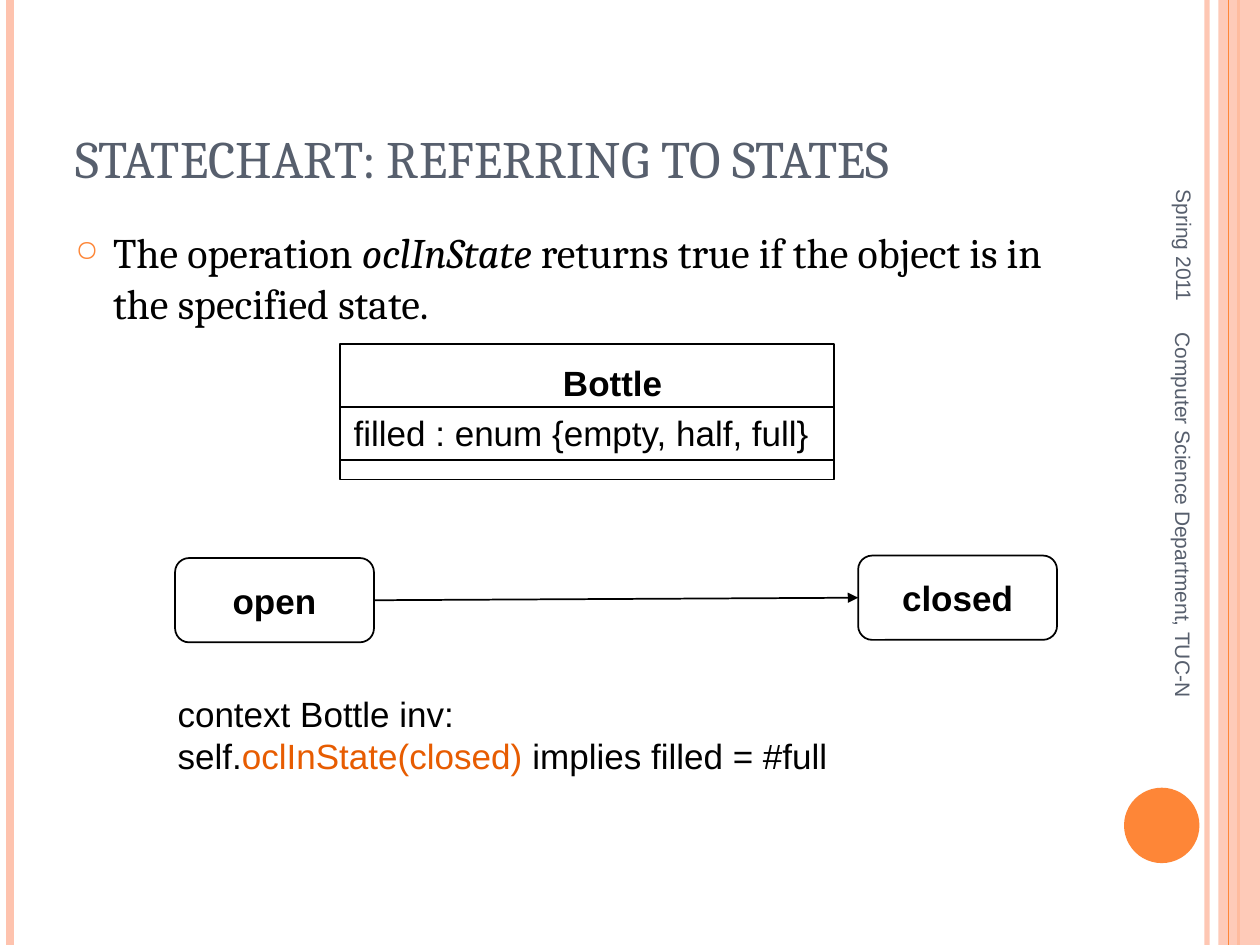
import pptx
import pptx.util
import pptx.dml.color
import pptx.enum.shapes
import pptx.enum.text
import pptx.oxml.ns
import lxml.etree

Cm, Pt = pptx.util.Cm, pptx.util.Pt
SHAPES = pptx.enum.shapes.MSO_SHAPE
ALIGN = pptx.enum.text.PP_ALIGN
ANCHOR = pptx.enum.text.MSO_ANCHOR

WIDTH, HEIGHT = 25.4, 19.05
COLOURS = {
    "peach": "FEC3AE",
    "orange": "FE8637",
    "keyword": "E75C01",
    "slate": "575F6D",
    "black": "000000",
}


def add_element(parent, tag, **attributes):
    return lxml.etree.SubElement(parent, pptx.oxml.ns.qn(tag), attributes)


class SlideBuilder:
    """Holds the style and the current slide; all lengths are centimetres."""

    def __init__(self, slide):
        self.slide = slide
        self.body_font = "Arial"
        self.heading_font = "Cambria"

    def colour(self, name):
        return pptx.dml.color.RGBColor.from_string(COLOURS[name])

    def set_alpha(self, properties, percent):
        """Make the only solid colour below properties partly transparent."""
        colour = properties.find(".//" + pptx.oxml.ns.qn("a:srgbClr"))
        add_element(colour, "a:alpha", val=str(percent * 1000))

    def style_font(self, font, size, colour, name=None, bold=False):
        font.name = name or self.body_font
        font.size = Pt(size)
        font.bold = bold
        font.color.rgb = self.colour(colour)

    def shape(self, kind, left, top, width, height, fill=None, alpha=None, line=None):
        shape = self.slide.shapes.add_shape(
            kind, Cm(left), Cm(top), Cm(width), Cm(height))
        shape.shadow.inherit = False
        if fill:
            shape.fill.solid()
            shape.fill.fore_color.rgb = self.colour(fill)
        else:
            shape.fill.background()
        if alpha:
            self.set_alpha(shape._element.spPr, alpha)
        if line:
            shape.line.color.rgb = self.colour(line)
            shape.line.width = Pt(1)
        else:
            shape.line.fill.background()
        return shape

    def state(self, label, left, top):
        state = self.shape(SHAPES.ROUNDED_RECTANGLE, left, top, 4.01, 1.7, line="black")
        para = state.text_frame.paragraphs[0]
        para.text = label
        para.alignment = ALIGN.CENTER
        self.style_font(para.font, 20, "black", bold=True)
        return state

    def line(self, start=(0, 0), end=(0, 0), colour="black", width=1, alpha=None):
        line = self.slide.shapes.add_connector(
            pptx.enum.shapes.MSO_CONNECTOR.STRAIGHT,
            Cm(start[0]), Cm(start[1]), Cm(end[0]), Cm(end[1]))
        line.line.color.rgb = self.colour(colour)
        line.line.width = Pt(width)
        if alpha:
            self.set_alpha(line._element.spPr, alpha)
        add_element(line._element.spPr, "a:effectLst")
        return line

    def transition(self, source, target):
        """Arrow from the right side of source to the left side of target."""
        arrow = self.line()
        arrow.begin_connect(source, 3)
        arrow.end_connect(target, 1)
        add_element(arrow.line._get_or_add_ln(), "a:tailEnd",
                    type="triangle", w="med", len="med")

    def text(self, left, top, width, height, paragraphs, size=20, colour="black",
             font=None, bold=False, wrap=False, anchor=ANCHOR.TOP,
             align=ALIGN.LEFT, rotation=0):
        """Each paragraph is a list of span texts; returns its paragraphs."""
        box = self.slide.shapes.add_textbox(Cm(left), Cm(top), Cm(width), Cm(height))
        box.rotation = rotation
        frame = box.text_frame
        frame.word_wrap = wrap
        frame.vertical_anchor = anchor
        for index, spans in enumerate(paragraphs):
            para = frame.add_paragraph() if index else frame.paragraphs[0]
            para.alignment = align
            for span in spans:
                para.add_run().text = span
            self.style_font(para.font, size, colour, font, bold)
        return frame.paragraphs

    def bullet_text(self, left, top, width, height, spans):
        para = self.text(left, top, width, height, [[]], wrap=True)[0]
        properties = para._p.get_or_add_pPr()
        for child in list(properties):
            properties.remove(child)
        properties.set("marL", str(Cm(0.76)))
        properties.set("indent", str(-Cm(0.76)))
        bullet_colour = add_element(properties, "a:buClr")
        add_element(bullet_colour, "a:srgbClr", val=COLOURS["orange"])
        add_element(properties, "a:buSzPct", val="70000")
        add_element(properties, "a:buChar", char="○")
        for span in spans:
            para.add_run().text = span
        self.style_font(para.font, 24, "black", self.heading_font)
        return para


def main():
    deck = pptx.Presentation()
    deck.slide_width, deck.slide_height = Cm(WIDTH), Cm(HEIGHT)
    page = SlideBuilder(deck.slides.add_slide(deck.slide_layouts[6]))

    # Side decoration
    def stripe(x, colour, width, alpha=None):
        page.line((x, 0), (x, HEIGHT), colour, width, alpha)

    stripe(24.33, "peach", 3, alpha=93)
    stripe(0.2, "peach", 4.5)
    stripe(24.97, "orange", 1.5)
    page.shape(SHAPES.RECTANGLE, 24.56, 0, 0.84, HEIGHT, fill="peach", alpha=87)
    stripe(24.77, "orange", 0.75)
    page.shape(SHAPES.OVAL, 22.66, 15.88, 1.52, 1.52, fill="orange")

    # Heading and explanation
    page.text(1.27, 0.76, 20.75, 3.18, [["STATECHART: REFERRING TO STATES"]],
              size=30, colour="slate", font=page.heading_font, wrap=True,
              anchor=ANCHOR.BOTTOM)
    explanation = page.bullet_text(
        1.27, 4.45, 20.75, 13.54,
        ["The operation ", "oclInState",
         " returns true if the object is in the specified state."])
    explanation.runs[1].font.italic = True

    # Date and footer along the right edge
    margin_style = dict(size=12, colour="slate", wrap=True,
                        anchor=ANCHOR.MIDDLE, rotation=90)
    page.text(21.08, 3, 5.59, 1.07, [["Spring 2011"]], align=ALIGN.RIGHT, **margin_style)
    page.text(19.41, 10.39, 8.89, 1.02,
              [["Computer Science Department, TUC-N"]], **margin_style)

    # State machine
    opened = page.state("open", 3.53, 11.25)
    closed = page.state("closed", 17.3, 11.2)
    page.transition(opened, closed)

    # Constraint
    constraint = page.text(
        3.33, 13.84, 13.61, 1.96,
        [["context Bottle inv:"],
         ["self.", "oclInState(closed) ", "implies filled = #full"]])
    constraint[1].runs[1].font.color.rgb = page.colour("keyword")

    # Class box with its compartments
    class_left, class_width = 6.86, 9.96
    page.shape(SHAPES.RECTANGLE, class_left, 6.93, class_width, 2.74, line="black")
    for y in (8.21, 9.27):
        page.line((class_left, y), (class_left + class_width, y))
    page.text(11.1, 7.16, 2.54, 1.09, [["Bottle"]], bold=True)
    page.text(6.88, 8.18, 9.7, 1.96, [["filled : enum {empty, half, full}"]])

    deck.save("out.pptx")


if __name__ == "__main__":
    main()
